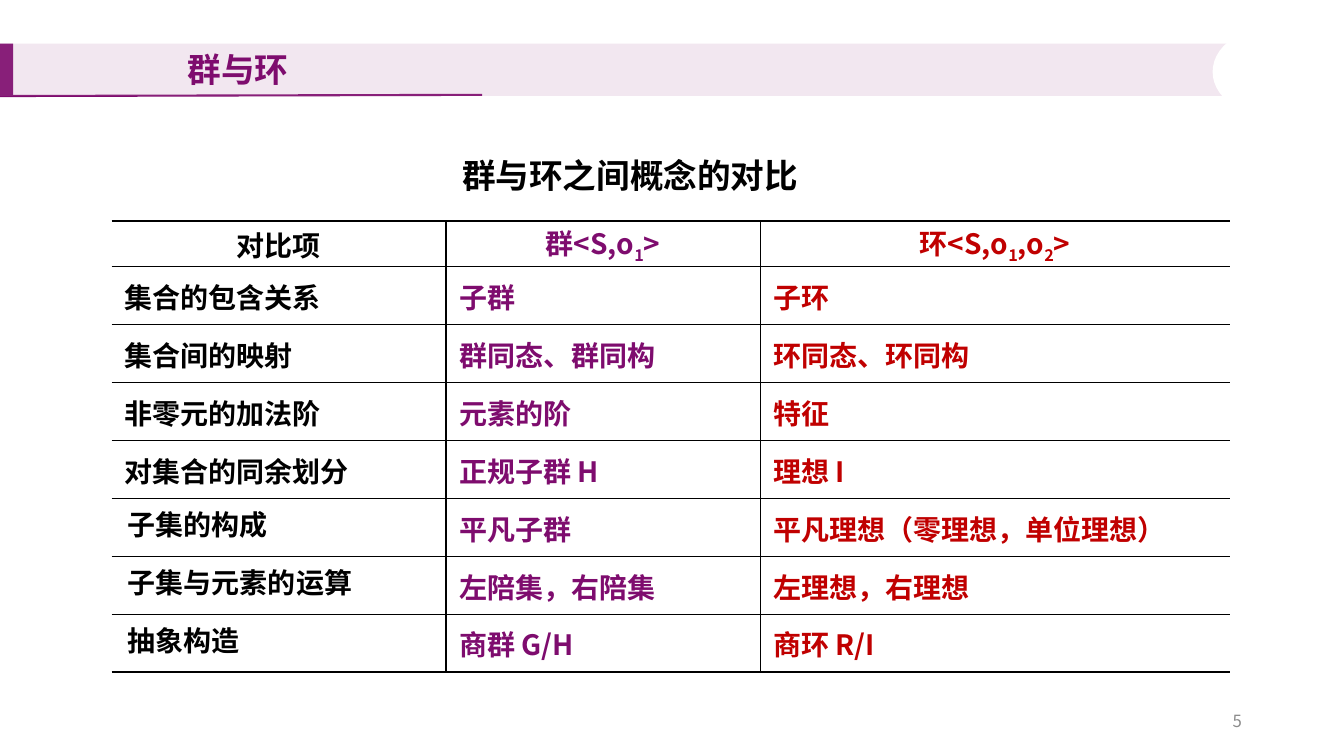
from dataclasses import dataclass

import pptx
import pptx.dml.color
import pptx.enum.shapes
import pptx.enum.text
import pptx.oxml.ns
import pptx.util
from lxml import etree

Cm, Pt = pptx.util.Cm, pptx.util.Pt
Align, Anchor = pptx.enum.text.PP_ALIGN, pptx.enum.text.MSO_ANCHOR
Shape = pptx.enum.shapes.MSO_SHAPE
qn = pptx.oxml.ns.qn

FONT = "Noto Sans CJK SC"
COLORS = {"purple": "7E0C6E", "lilac": "B87AAF", "white": "FFFFFF",
          "black": "000000", "red": "C00000", "grey": "8C8C8C"}


@dataclass
class Block:
    shape: int
    left: float
    top: float
    width: float
    height: float
    color: str
    opacity: int = 100


@dataclass
class Label:
    text: str
    left: float
    top: float
    width: float
    height: float
    size: int
    color: str
    align: int = Align.CENTER
    bold: bool = True
    anchor: int = Anchor.TOP


BLOCKS = [
    Block(Shape.RECTANGLE, 0, 1.1, 0.33, 1.3, "purple"),
    Block(Shape.RECTANGLE, 0, 1.1, 31, 1.32, "lilac", 18),
    Block(Shape.OVAL, 30.56, 0.77, 2.54, 2.08, "white"),
]
LABELS = [
    Label("群与环", 0.05, 1.1, 11.9, 1.27, 24, "purple"),
    Label("群与环之间概念的对比", 9.58, 3.78, 12.6, 1.27, 24, "black"),
    Label("5", 23.93, 17.65, 7.62, 1.02, 12, "grey", Align.RIGHT, False, Anchor.MIDDLE),
]

# Digits in the header row are subscripts
HEADER = ("对比项", "群<S,o1>", "环<S,o1,o2>")
ROWS = [
    ("集合的包含关系", "子群", "子环"),
    ("集合间的映射", "群同态、群同构", "环同态、环同构"),
    ("非零元的加法阶", "元素的阶", "特征"),
    ("对集合的同余划分", "正规子群 H", "理想 I"),
    ("子集的构成", "平凡子群", "平凡理想（零理想，单位理想）"),
    ("子集与元素的运算", "左陪集，右陪集", "左理想，右理想"),
    ("抽象构造", "商群 G/H", "商环 R/I"),
]
COLUMN_WIDTHS = (8.43, 7.92, 11.84)
COLUMN_COLORS = ("black", "purple", "red")
HEADER_HEIGHT, ROW_HEIGHT = 1.13, 1.46
FIRST_TOP_ANCHORED_ROW = 5


def rgb(name: str) -> pptx.dml.color.RGBColor:
    return pptx.dml.color.RGBColor.from_string(COLORS[name])


def style_paragraph(para, size: int, color: str, align: int, bold: bool = True) -> None:
    para.alignment = align
    font = para.font
    font.size, font.bold, font.name = Pt(size), bold, FONT
    font.color.rgb = rgb(color)
    etree.SubElement(font._element, qn("a:ea"), typeface=FONT)


def draw_block(page, block: Block) -> None:
    shape = page.shapes.add_shape(block.shape, Cm(block.left), Cm(block.top),
                                  Cm(block.width), Cm(block.height))
    shape.shadow.inherit = False
    shape.line.fill.background()
    shape.fill.solid()
    shape.fill.fore_color.rgb = rgb(block.color)
    if block.opacity < 100:
        color = shape._element.spPr.find(".//" + qn("a:srgbClr"))
        etree.SubElement(color, qn("a:alpha"), val=str(block.opacity * 1000))


def draw_underline(page) -> None:
    line = page.shapes.add_connector(pptx.enum.shapes.MSO_CONNECTOR.STRAIGHT,
                                     Cm(0), Cm(2.42), Cm(12.15), Cm(2.39))
    line.line.color.rgb = rgb("purple")
    line.line.width = Pt(1.5)
    etree.SubElement(line._element.spPr, qn("a:effectLst"))


def draw_label(page, label: Label) -> None:
    box = page.shapes.add_textbox(Cm(label.left), Cm(label.top),
                                  Cm(label.width), Cm(label.height))
    frame = box.text_frame
    frame.word_wrap = True
    frame.vertical_anchor = label.anchor
    para = frame.paragraphs[0]
    para.add_run().text = label.text
    style_paragraph(para, label.size, label.color, label.align, label.bold)


def set_border(cell, side: str, width: float) -> None:
    """Give one side of a cell a black line, or none for a zero width."""
    properties = cell._tc.get_or_add_tcPr()
    border = etree.SubElement(properties, qn("a:ln" + side), w=str(int(Pt(width))))
    if width:
        fill = etree.SubElement(border, qn("a:solidFill"))
        etree.SubElement(fill, qn("a:srgbClr"), val=COLORS["black"])
    else:
        etree.SubElement(border, qn("a:noFill"))


def fill_header(para, text: str) -> None:
    for character in text:
        span = para.add_run()
        span.text = character
        if character.isdigit():
            span._r.get_or_add_rPr().set("baseline", "-25000")


def draw_table(page) -> None:
    rows = [HEADER, *ROWS]
    last_row, last_column = len(rows) - 1, len(HEADER) - 1
    height = HEADER_HEIGHT + ROW_HEIGHT * len(ROWS)
    table = page.shapes.add_table(len(rows), len(HEADER), Cm(2.81), Cm(5.57),
                                  Cm(sum(COLUMN_WIDTHS)), Cm(height)).table
    table.first_row = table.horz_banding = False
    for column, width in zip(table.columns, COLUMN_WIDTHS):
        column.width = Cm(width)

    for r, texts in enumerate(rows):
        table.rows[r].height = Cm(ROW_HEIGHT if r else HEADER_HEIGHT)
        for c, text in enumerate(texts):
            cell = table.cell(r, c)
            # Borders: heavier top and bottom edges, open sides
            set_border(cell, "L", 1 if c else 0)
            set_border(cell, "R", 1 if c < last_column else 0)
            set_border(cell, "T", 1 if r else 1.5)
            set_border(cell, "B", 1 if r < last_row else 1.5)
            cell.fill.background()

            # Placement of the text
            if c == 0 and r >= FIRST_TOP_ANCHORED_ROW:
                cell.vertical_anchor = Anchor.TOP
                cell.margin_left = Cm(0.41)
            else:
                cell.vertical_anchor = Anchor.MIDDLE
                cell.margin_left = Cm(0.33 if r else 0.03)
                cell.margin_right = cell.margin_top = Cm(0.03)
                cell.margin_bottom = Cm(0)

            para = cell.text_frame.paragraphs[0]
            if r:
                para.add_run().text = text
            else:
                fill_header(para, text)
            style_paragraph(para, 20, COLUMN_COLORS[c], Align.LEFT if r else Align.CENTER)


def main() -> None:
    deck = pptx.Presentation()
    deck.slide_width, deck.slide_height = Cm(33.87), Cm(19.05)
    page = deck.slides.add_slide(deck.slide_layouts[6])

    # Title band
    draw_underline(page)
    for block in BLOCKS:
        draw_block(page, block)

    # Comparison table and texts
    draw_table(page)
    for label in LABELS:
        draw_label(page, label)
    deck.save("out.pptx")


if __name__ == "__main__":
    main()
